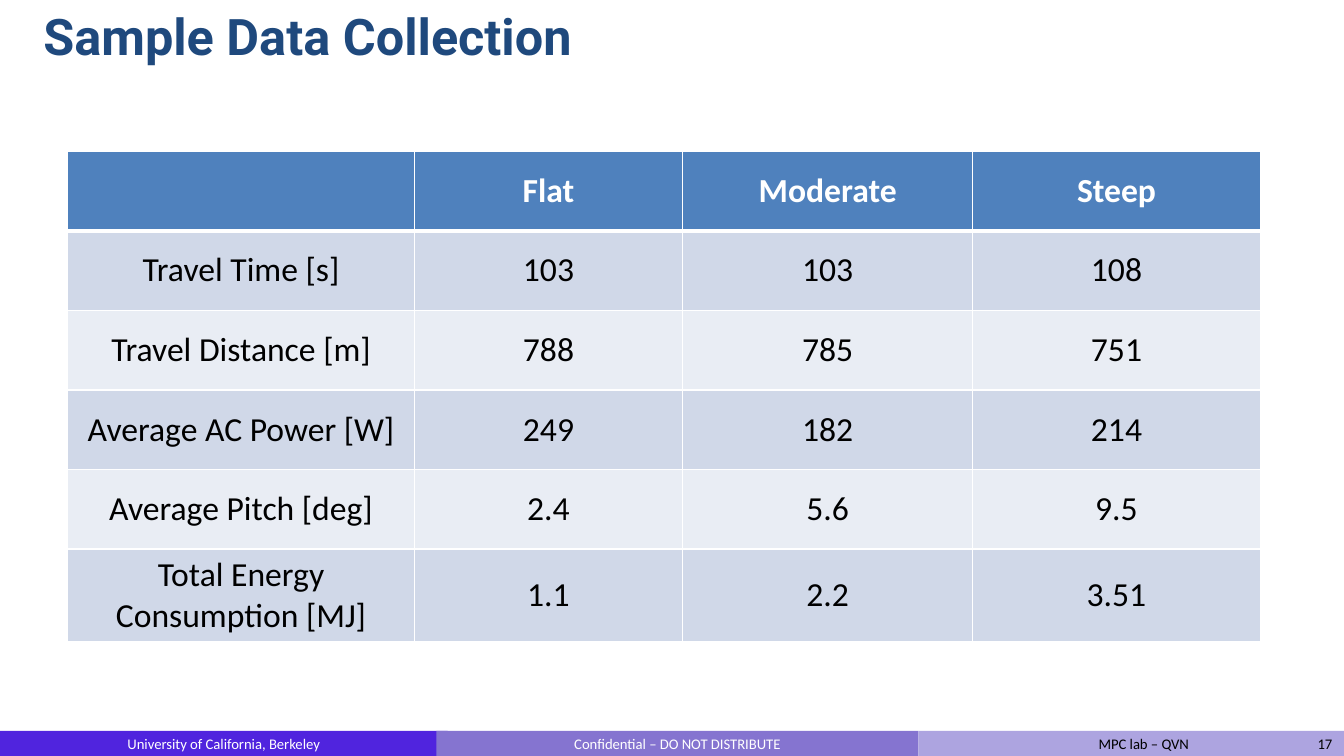
from dataclasses import dataclass

from lxml import etree
from pptx import Presentation
from pptx.dml.color import RGBColor
from pptx.enum.shapes import MSO_SHAPE
from pptx.enum.text import MSO_ANCHOR, MSO_AUTO_SIZE, PP_ALIGN
from pptx.oxml.ns import qn
from pptx.util import Inches, Pt

RECTANGLE = MSO_SHAPE.RECTANGLE
TOP, MIDDLE = MSO_ANCHOR.TOP, MSO_ANCHOR.MIDDLE
LEFT, CENTER = PP_ALIGN.LEFT, PP_ALIGN.CENTER
NO_AUTOFIT = MSO_AUTO_SIZE.NONE

SLIDE_WIDTH, SLIDE_HEIGHT = Inches(13.33), Inches(7.5)


@dataclass(frozen=True)
class Theme:
    title_font: str = "Roboto"
    body_font: str = "Calibri"
    title_size: float = 36
    table_size: float = 24
    footer_size: float = 10.5
    title: str = "1F497D"
    header: str = "4F81BD"
    bands: tuple = ("D0D8E8", "E9EDF4")
    footer: tuple = ("5024DE", "8574D0", "ADA4E0")
    light: str = "FFFFFF"
    dark: str = "000000"


THEME = Theme()

# Shares of the slide width, in percent
COLUMN_SHARES = (25.81, 19.95, 21.6, 21.38)
ROW_SHARE = 10.53

MEASUREMENTS = (
    ("", "Flat", "Moderate", "Steep"),
    ("Travel Time [s]", "103", "103", "108"),
    ("Travel Distance [m]", "788", "785", "751"),
    ("Average AC Power [W]", "249", "182", "214"),
    ("Average Pitch [deg]", "2.4", "5.6", "9.5"),
    ("Total Energy Consumption [MJ]", "1.1", "2.2", "3.51"),
)


def across(percent):
    return round(SLIDE_WIDTH * percent / 100)


def down(percent):
    return round(SLIDE_HEIGHT * percent / 100)


def style(paragraph, font_name, size, color, align, bold=False):
    paragraph.alignment = align
    font = paragraph.font
    font.name, font.size, font.bold = font_name, Pt(size), bold
    font.color.rgb = RGBColor.from_string(color)


def add_title(slide, text):
    title = slide.shapes.title
    title.left, title.top = across(2.48), 0
    title.width, title.height = across(90), down(9.47)
    frame = title.text_frame
    frame.text = text
    frame.auto_size = NO_AUTOFIT
    frame.vertical_anchor = TOP
    style(frame.paragraphs[0], THEME.title_font, THEME.title_size,
          THEME.title, LEFT, bold=True)


def add_footer_band(slide, left, width, text, fill, color, align=CENTER):
    band = slide.shapes.add_shape(RECTANGLE, across(left), down(96.67),
                                  across(width), down(3.33))
    band.shadow.inherit = False
    band.fill.solid()
    band.fill.fore_color.rgb = RGBColor.from_string(fill)
    band.line.fill.background()
    frame = band.text_frame
    frame.text = text
    frame.vertical_anchor = MIDDLE
    style(frame.paragraphs[0], THEME.body_font, THEME.footer_size, color, align)
    return frame


def add_right_tab(paragraph, position):
    properties = paragraph._p.get_or_add_pPr()
    tabs = etree.Element(qn("a:tabLst"))
    etree.SubElement(tabs, qn("a:tab"), pos=str(position), algn="r")
    properties.insert(0, tabs)


def add_footer(slide):
    add_footer_band(slide, 0, 33.3, "University of California, Berkeley",
                    THEME.footer[0], THEME.light)
    add_footer_band(slide, 32.48, 35.86, "Confidential – DO NOT DISTRIBUTE",
                    THEME.footer[1], THEME.light)
    lab = add_footer_band(slide, 68.34, 31.66, "MPC lab – QVN\t17",
                          THEME.footer[2], THEME.dark, LEFT)
    # The lab name starts at the inset; the page number ends at the tab
    lab.margin_left = across(13.4)
    add_right_tab(lab.paragraphs[0], across(17.4))


def add_borders(cell, top_width, bottom_width):
    properties = cell._tc.get_or_add_tcPr()
    widths = (("L", 1), ("R", 1), ("T", top_width), ("B", bottom_width))
    for side, width in widths:
        border = etree.SubElement(properties, qn(f"a:ln{side}"), w=str(Pt(width)))
        fill = etree.SubElement(border, qn("a:solidFill"))
        etree.SubElement(fill, qn("a:srgbClr"), val=THEME.light)


def fill_cell(cell, text, fill, color, bold):
    cell.fill.solid()
    cell.fill.fore_color.rgb = RGBColor.from_string(fill)
    cell.vertical_anchor = MIDDLE
    cell.text = text
    style(cell.text_frame.paragraphs[0], THEME.body_font, THEME.table_size,
          color, CENTER, bold)


def add_measurements(slide):
    table = slide.shapes.add_table(
        len(MEASUREMENTS), len(COLUMN_SHARES), across(5.03), down(20),
        across(sum(COLUMN_SHARES)), down(ROW_SHARE * len(MEASUREMENTS))).table
    for column, share in zip(table.columns, COLUMN_SHARES):
        column.width = across(share)
    for row_index, values in enumerate(MEASUREMENTS):
        table.rows[row_index].height = down(ROW_SHARE)
        is_header = row_index == 0
        if is_header:
            look = (THEME.header, THEME.light, True)
        else:
            look = (THEME.bands[(row_index - 1) % 2], THEME.dark, False)
        # The thick rule under the header is shared with the first data row
        top_width = 3 if row_index == 1 else 1
        bottom_width = 3 if is_header else 1
        for column_index, value in enumerate(values):
            cell = table.cell(row_index, column_index)
            add_borders(cell, top_width, bottom_width)
            fill_cell(cell, value, *look)


def main():
    presentation = Presentation()
    presentation.slide_width = SLIDE_WIDTH
    presentation.slide_height = SLIDE_HEIGHT
    title_only = presentation.slide_layouts[5]
    slide = presentation.slides.add_slide(title_only)
    add_footer(slide)
    add_title(slide, "Sample Data Collection")
    add_measurements(slide)
    presentation.save("out.pptx")


if __name__ == "__main__":
    main()
